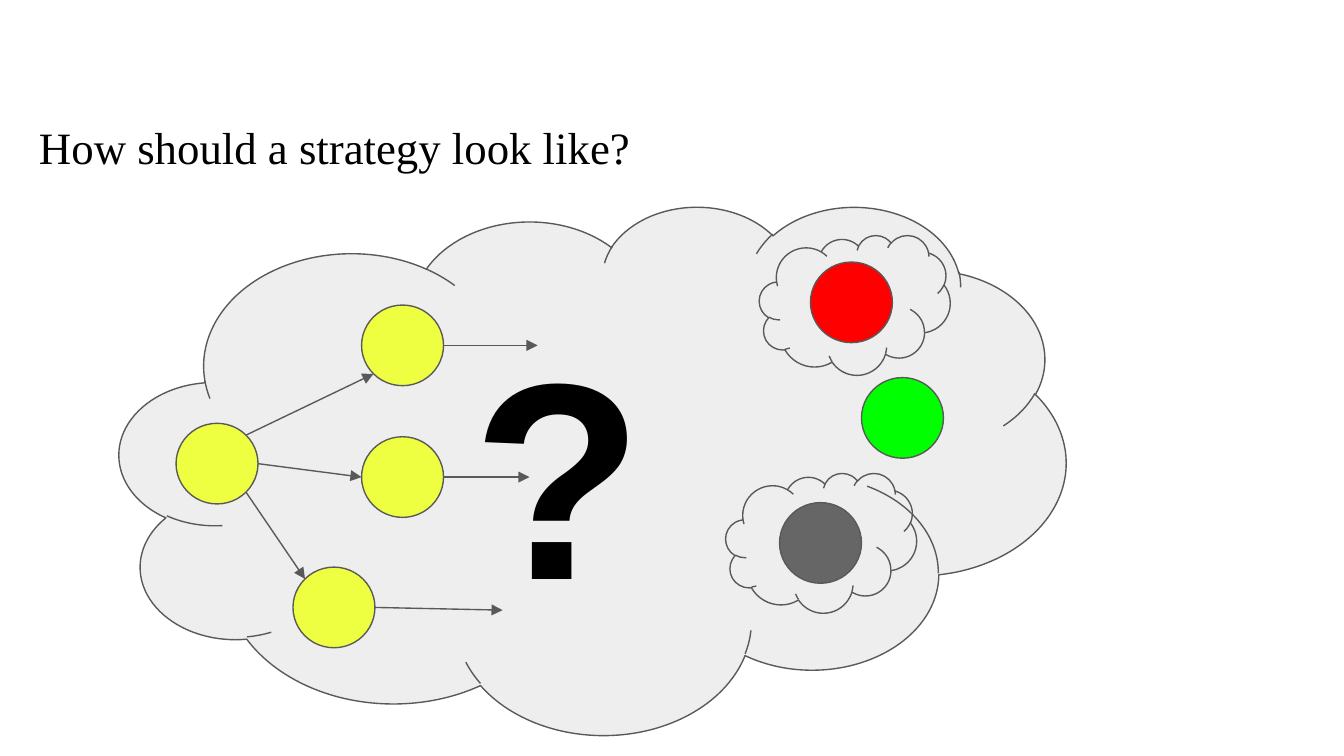
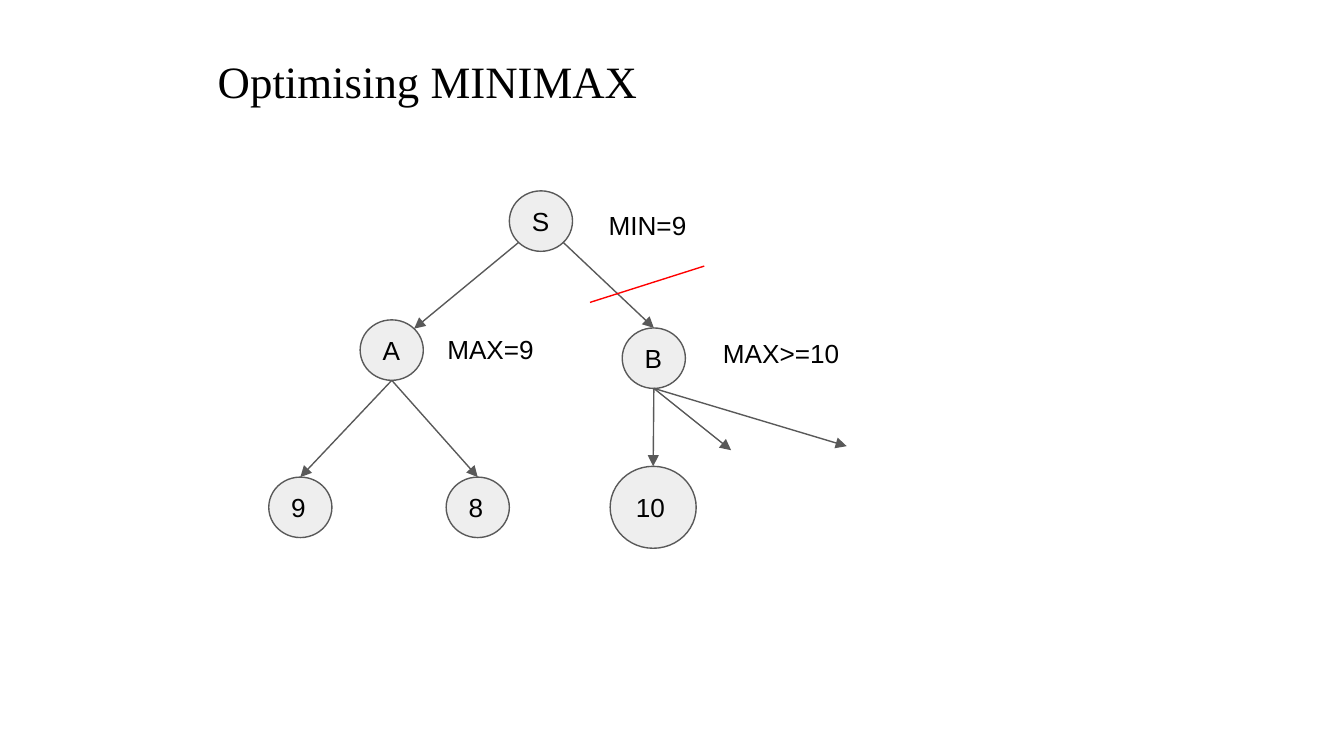
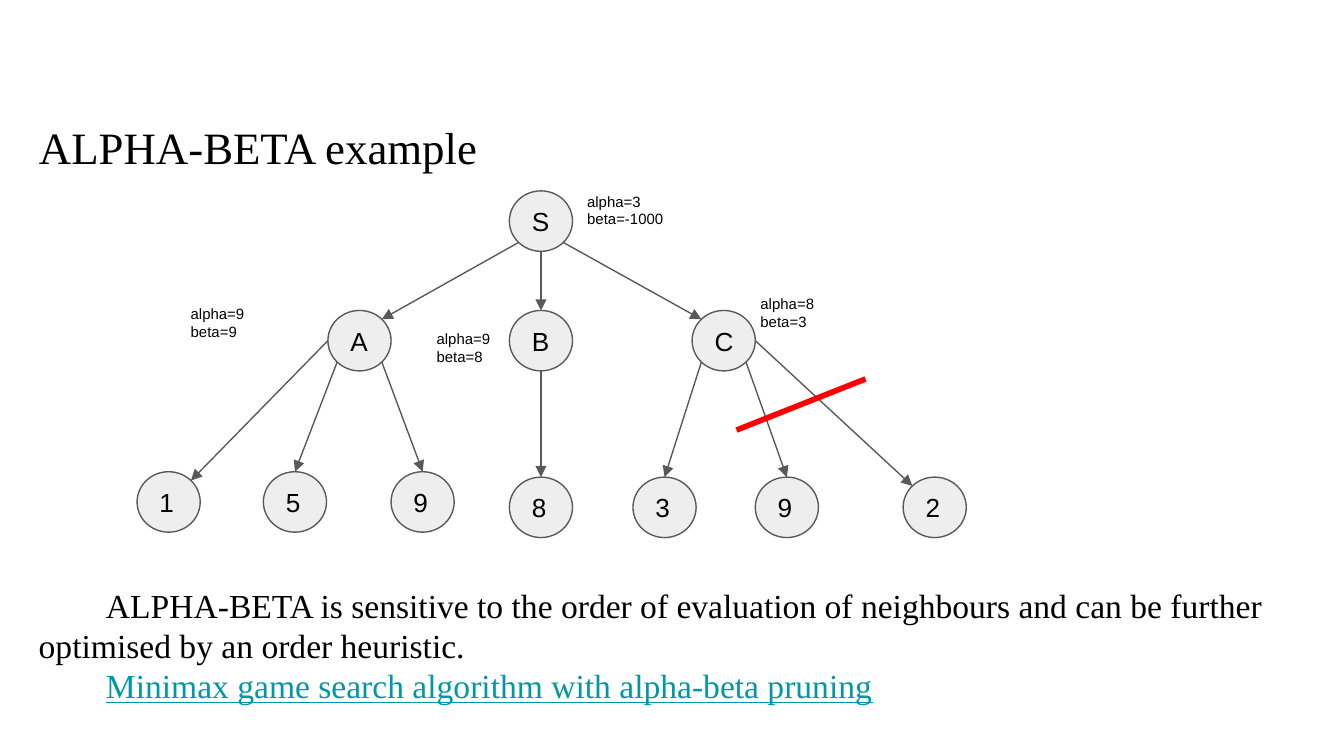
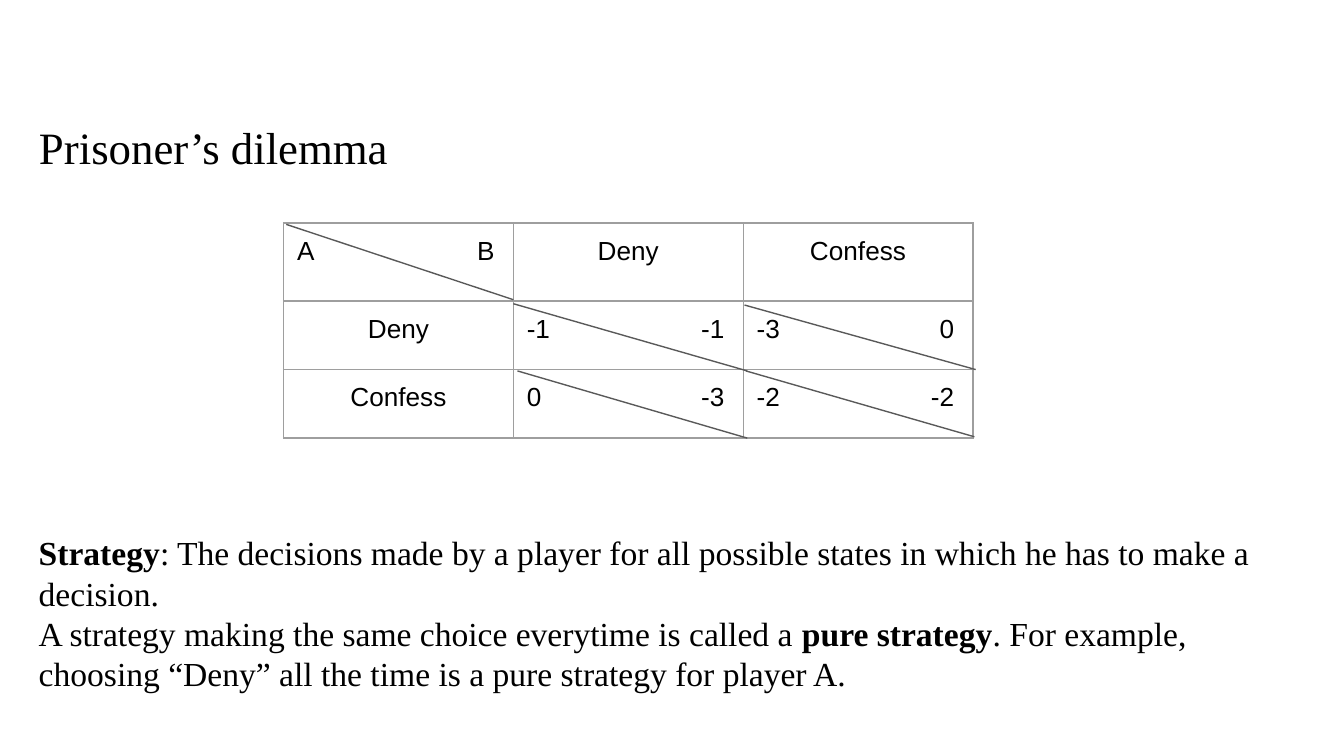
from math import cos, pi, sin

from lxml.etree import SubElement
from pptx import Presentation
from pptx.dml.color import RGBColor
from pptx.enum.shapes import MSO_CONNECTOR, MSO_SHAPE
from pptx.enum.text import MSO_ANCHOR, MSO_AUTO_SIZE, PP_ALIGN
from pptx.oxml.ns import qn
from pptx.util import Inches, Pt

BLACK = RGBColor(0x00, 0x00, 0x00)
OUTLINE = RGBColor(0x59, 0x59, 0x59)
PALE = RGBColor(0xEE, 0xEE, 0xEE)
YELLOW = RGBColor(0xEE, 0xFF, 0x41)
GRAY = RGBColor(0x66, 0x66, 0x66)
GREEN = RGBColor(0x00, 0xFF, 0x00)
RED = RGBColor(0xFF, 0x00, 0x00)
LINK = RGBColor(0x00, 0x97, 0xA7)
TABLE_BORDER = "9E9E9E"

SERIF = "Times New Roman"
SANS = "Arial"
STATE_SIZE = (0.61, 0.6)
NODE_SIZE = (0.47, 0.45)

# Points on a circle, counted anticlockwise from the top in steps of 45 degrees
TOP, TOP_LEFT, LEFT, BOTTOM_LEFT, BOTTOM, BOTTOM_RIGHT, RIGHT, TOP_RIGHT = range(8)


# Text
def add_run(paragraph, text, size, font=SANS, color=BLACK, bold=False, underline=False):
    run = paragraph.add_run()
    run.text = text
    run.font.size = Pt(size)
    run.font.name = font
    run.font.color.rgb = color
    run.font.bold = bold
    run.font.underline = underline


def set_frame(frame, anchor=MSO_ANCHOR.TOP):
    frame.word_wrap = True
    frame.auto_size = MSO_AUTO_SIZE.NONE
    frame.vertical_anchor = anchor
    frame.margin_left = frame.margin_right = Inches(0.1)
    frame.margin_top = frame.margin_bottom = Inches(0.1)


def add_text(slide, box, paragraphs, size, font=SANS, indent=0):
    """Each paragraph is a list of (text, run options)."""
    shape = slide.shapes.add_textbox(*map(Inches, box))
    frame = shape.text_frame
    set_frame(frame)
    for index, runs in enumerate(paragraphs):
        paragraph = frame.paragraphs[0] if index == 0 else frame.add_paragraph()
        if indent:
            paragraph._p.get_or_add_pPr().set("indent", str(Inches(indent)))
        for text, options in runs:
            add_run(paragraph, text, size, font, **options)


def add_label(slide, box, *lines, size=14, bold=False):
    add_text(slide, box, [[(line, {"bold": bold})] for line in lines], size)


def add_body(slide, top, height, paragraphs, indent=0):
    add_text(slide, (0.19, top, 9.46, height), paragraphs, 18, SERIF, indent)


def add_titled_slide(presentation, text, left=0.19, top=0.79, width=9.46):
    slide = presentation.slides.add_slide(presentation.slide_layouts[5])
    title = slide.shapes.title
    title.left, title.top = Inches(left), Inches(top)
    title.width, title.height = Inches(width), Inches(0.61)
    set_frame(title.text_frame)
    paragraph = title.text_frame.paragraphs[0]
    paragraph.alignment = PP_ALIGN.LEFT
    add_run(paragraph, text, 24, SERIF)
    return slide


# Shapes and lines
def add_outlined(slide, preset, box, fill=None):
    shape = slide.shapes.add_shape(preset, *map(Inches, box))
    shape.shadow.inherit = False
    if fill is None:
        shape.fill.background()
    else:
        shape.fill.solid()
        shape.fill.fore_color.rgb = fill
    shape.line.color.rgb = OUTLINE
    shape.line.width = Pt(0.75)
    return shape


def add_cloud(slide, box, fill=None):
    return add_outlined(slide, MSO_SHAPE.CLOUD, box, fill)


def add_circle(slide, left, top, size, fill=PALE, text=None):
    circle = add_outlined(slide, MSO_SHAPE.FLOWCHART_CONNECTOR, (left, top, *size), fill)
    if text:
        set_frame(circle.text_frame, MSO_ANCHOR.MIDDLE)
        paragraph = circle.text_frame.paragraphs[0]
        paragraph.alignment = PP_ALIGN.LEFT
        add_run(paragraph, text, 14)
    return circle


def add_line(slide, start, end, color=OUTLINE, width=0.75, arrow=False):
    line = slide.shapes.add_connector(
        MSO_CONNECTOR.STRAIGHT, *map(Inches, start), *map(Inches, end))
    line.line.color.rgb = color
    line.line.width = Pt(width)
    if arrow:
        SubElement(line.line._get_or_add_ln(), qn("a:tailEnd"), type="triangle")
    SubElement(line._element.spPr, qn("a:effectLst"))


def rim_point(circle, site):
    angle = site * pi / 4
    x = circle.left + circle.width / 2 * (1 - sin(angle))
    y = circle.top + circle.height / 2 * (1 - cos(angle))
    return x / Inches(1), y / Inches(1)


def add_arrow(slide, circle, site, end, end_site=None):
    """The end is a circle with its site, or a plain point."""
    target = end if end_site is None else rim_point(end, end_site)
    add_line(slide, rim_point(circle, site), target, arrow=True)


def add_tree(slide, nodes, edges):
    circles = {}
    for name, (text, left, top, *size) in nodes.items():
        circles[name] = add_circle(slide, left, top, size or NODE_SIZE, text=text)
    for start, site, end, end_site in edges:
        add_arrow(slide, circles[start], site, circles[end], end_site)
    return circles


# Table
def set_borders(cell):
    properties = cell._tc.get_or_add_tcPr()
    for index, side in enumerate(("a:lnL", "a:lnR", "a:lnT", "a:lnB")):
        border = properties.makeelement(qn(side), {"w": str(Pt(0.75))})
        fill = SubElement(border, qn("a:solidFill"))
        SubElement(fill, qn("a:srgbClr"), val=TABLE_BORDER)
        properties.insert(index, border)


def fill_cell(cell, content):
    """A pair of values goes to the two ends of the cell, a word to its centre."""
    cell.fill.background()
    set_borders(cell)
    cell.margin_left = cell.margin_right = Inches(0.1)
    cell.margin_top = cell.margin_bottom = Inches(0.1)
    paragraph = cell.text_frame.paragraphs[0]
    if isinstance(content, tuple):
        tabs = SubElement(paragraph._p.get_or_add_pPr(), qn("a:tabLst"))
        SubElement(tabs, qn("a:tab"), pos=str(Inches(1.47)), algn="r")
        content = "\t".join(content)
    else:
        paragraph.alignment = PP_ALIGN.CENTER
    add_run(paragraph, content, 14)


def add_payoff_table(slide, left, top, column_width, row_heights, rows):
    frame = slide.shapes.add_table(
        len(rows), len(rows[0]), Inches(left), Inches(top),
        Inches(column_width * len(rows[0])), Inches(sum(row_heights)))
    table = frame.table
    table.first_row = table.horz_banding = False
    for column in table.columns:
        column.width = Inches(column_width)
    for row, height, contents in zip(table.rows, row_heights, rows):
        row.height = Inches(height)
        for cell, content in zip(row.cells, contents):
            fill_cell(cell, content)


# Slides
def build_strategy_slide(presentation):
    slide = add_titled_slide(presentation, "How should a strategy look like?")
    add_cloud(slide, (0.89, 1.53, 7.04, 3.93), PALE)
    for left, top, color in ((5.8, 3.74, GRAY), (6.41, 2.81, GREEN), (6.03, 1.95, RED)):
        add_circle(slide, left, top, STATE_SIZE, color)
    start, upper, middle, lower = [
        add_circle(slide, left, top, STATE_SIZE, YELLOW)
        for left, top in ((1.31, 3.15), (2.69, 2.27), (2.69, 3.25), (2.18, 4.22))]
    add_arrow(slide, start, TOP_RIGHT, upper, BOTTOM_LEFT)
    add_arrow(slide, start, RIGHT, middle, LEFT)
    add_arrow(slide, start, BOTTOM_RIGHT, lower, TOP_LEFT)
    for state, end in ((upper, (4, 2.57)), (middle, (3.94, 3.55)), (lower, (3.74, 4.54))):
        add_arrow(slide, state, RIGHT, end)
    add_label(slide, (3.42, 2.13, 1.22, 2.73), "?", size=150, bold=True)
    for left, top in ((5.65, 1.75), (5.4, 3.52)):
        add_cloud(slide, (left, top, 1.42, 1.04))


def build_minimax_slide(presentation):
    slide = add_titled_slide(presentation, "Optimising MINIMAX", 1.52, 0.3, 6.59)
    nodes = {
        "S": ("S", 3.79, 1.42),
        "A": ("A", 2.68, 2.38),
        "B": ("B", 4.63, 2.44),
        "A1": ("9", 2, 3.55),
        "A2": ("8", 3.32, 3.55),
        "B1": ("10", 4.54, 3.47, 0.64, 0.61),
    }
    edges = [
        ("S", BOTTOM_LEFT, "A", TOP_RIGHT),
        ("S", BOTTOM_RIGHT, "B", TOP),
        ("A", BOTTOM, "A1", TOP),
        ("A", BOTTOM, "A2", TOP),
        ("B", BOTTOM, "B1", TOP),
    ]
    circles = add_tree(slide, nodes, edges)
    for end in ((5.44, 3.35), (6.3, 3.32)):
        add_arrow(slide, circles["B"], BOTTOM, end)
    add_label(slide, (4.43, 1.46, 1.1, 0.44), "MIN=9")
    add_label(slide, (3.23, 2.38, 1.03, 0.44), "MAX=9")
    add_label(slide, (5.28, 2.41, 1.21, 0.44), "MAX>=10")
    add_line(slide, (4.39, 2.25), (5.24, 1.98), RED)


def build_alpha_beta_slide(presentation):
    slide = add_titled_slide(presentation, "ALPHA-BETA example")
    add_body(slide, 4.25, 1.26, [
        [("ALPHA-BETA is sensitive to the order of evaluation of neighbours and can be "
          "further optimised by an order heuristic.", {})],
        [("Minimax game search algorithm with alpha-beta pruning",
          {"color": LINK, "underline": True})],
    ], indent=0.5)
    nodes = {
        "S": ("S", 3.79, 1.42),
        "A": ("A", 2.44, 2.31),
        "B": ("B", 3.79, 2.31),
        "C": ("C", 5.15, 2.31),
        "A1": ("1", 1.02, 3.51),
        "A2": ("5", 1.96, 3.51),
        "A3": ("9", 2.91, 3.51),
        "B1": ("8", 3.79, 3.55),
        "C1": ("3", 4.71, 3.55),
        "C2": ("9", 5.62, 3.55),
        "C3": ("2", 6.72, 3.55),
    }
    edges = [
        ("S", BOTTOM_LEFT, "A", TOP_RIGHT),
        ("S", BOTTOM, "B", TOP),
        ("S", BOTTOM_RIGHT, "C", TOP_LEFT),
        ("A", LEFT, "A1", TOP_RIGHT),
        ("A", BOTTOM_LEFT, "A2", TOP),
        ("A", BOTTOM_RIGHT, "A3", TOP),
        ("B", BOTTOM, "B1", TOP),
        ("C", BOTTOM_LEFT, "C1", TOP),
        ("C", BOTTOM_RIGHT, "C2", TOP),
        ("C", RIGHT, "C3", TOP_LEFT),
    ]
    add_tree(slide, nodes, edges)
    for left, top, width, alpha, beta in (
            (4.27, 1.33, 1.45, 3, -1000), (1.32, 2.17, 1.02, 9, 9),
            (3.15, 2.35, 0.65, 9, 8), (5.56, 2.09, 1.07, 8, 3)):
        add_label(slide, (left, top, width, 0.47), f"alpha={alpha}", f"beta={beta}", size=8)
    add_line(slide, (5.48, 3.2), (6.44, 2.82), RED, 3)


def build_dilemma_slide(presentation):
    slide = add_titled_slide(presentation, "Prisoner’s dilemma")
    bold = {"bold": True}
    add_body(slide, 3.86, 1.65, [
        [("Strategy", bold),
         (": The decisions made by a player for all possible states in which he has to "
          "make a decision.", {})],
        [("A strategy making the same choice everytime is called a ", {}),
         ("pure strategy", bold),
         (". For example, choosing “Deny” all the time is a pure strategy for player A.", {})],
    ])
    add_payoff_table(slide, 2.11, 1.66, 1.71, (0.58, 0.51, 0.51), [
        [("A", "B"), "Deny", "Confess"],
        ["Deny", ("-1", "-1"), ("-3", "0")],
        ["Confess", ("0", "-3"), ("-2", "-2")],
    ])
    # Diagonals that split the paired cells
    for start, end in (
            ((2.13, 1.67), (3.82, 2.23)), ((3.82, 2.26), (5.56, 2.76)),
            ((5.55, 2.76), (7.25, 3.25)), ((5.54, 2.27), (7.26, 2.75)),
            ((3.85, 2.76), (5.56, 3.26))):
        add_line(slide, start, end)


def main():
    presentation = Presentation()
    # Widescreen, 16 to 9
    presentation.slide_width = Inches(10)
    presentation.slide_height = Inches(10) * 9 // 16
    build_strategy_slide(presentation)
    build_minimax_slide(presentation)
    build_alpha_beta_slide(presentation)
    build_dilemma_slide(presentation)
    presentation.save("out.pptx")


if __name__ == "__main__":
    main()
